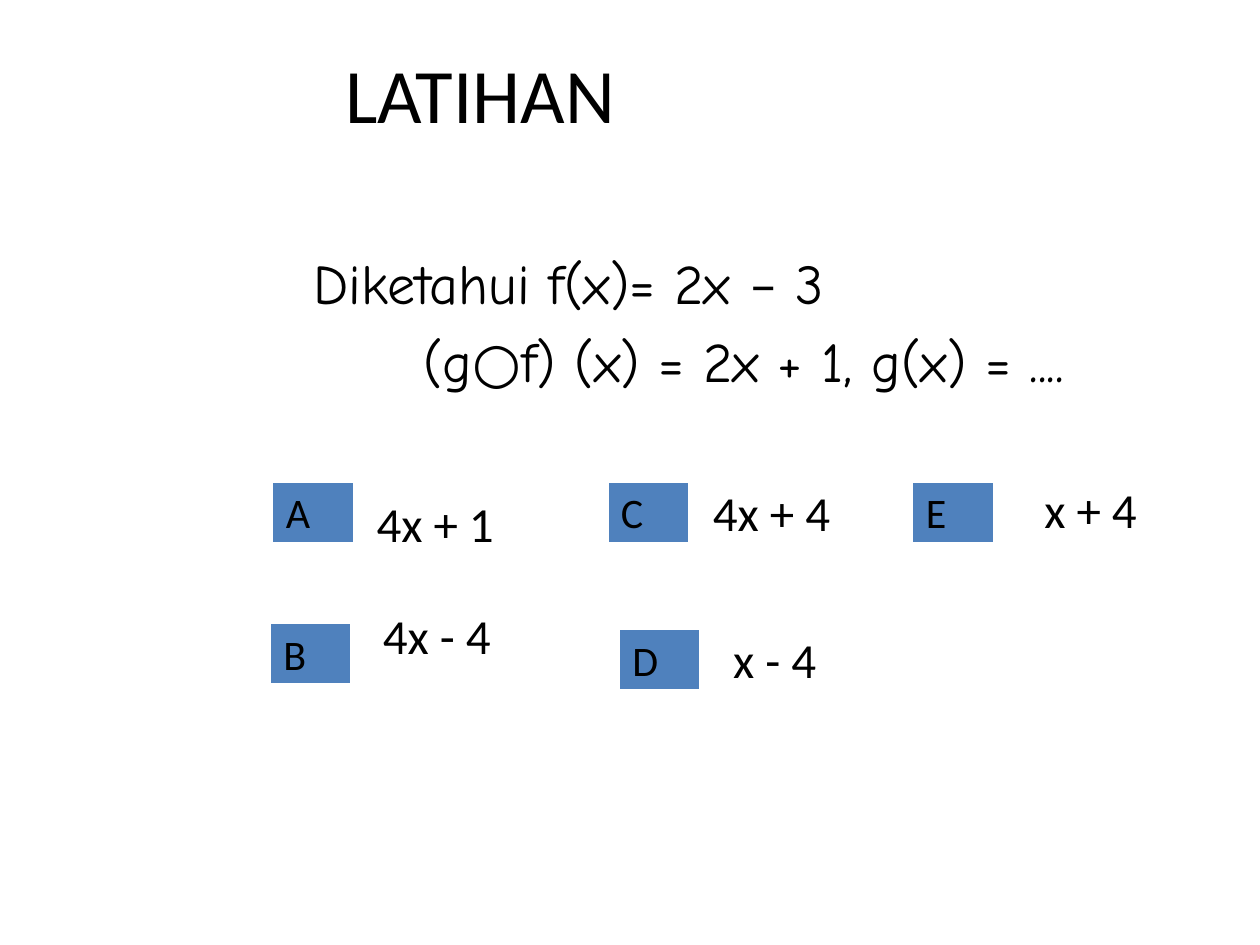
import pptx
import pptx.util
import pptx.dml.color
import pptx.enum.shapes
import pptx.enum.text
from dataclasses import dataclass

# Grid: 100 columns by 75 rows over the slide
WIDTH, HEIGHT = pptx.util.Inches(10), pptx.util.Inches(7.5)
COLUMN, ROW = WIDTH / 100, HEIGHT / 75
COLORS = {"ink": "000000", "button": "4F81BD"}
BODY_FONT, MATH_FONT = "Calibri", "Comic Neue"
BUTTON_SIZE = (6.3, 4.7)
ANSWER_HEIGHT = 5.2
ANCHOR = pptx.enum.text.MSO_ANCHOR


@dataclass
class Option:
    letter: str
    button: tuple[float, float]
    answer: str
    answer_at: tuple[float, float]
    answer_width: float


OPTIONS = [
    Option("A", (21.7, 38.3), "4x + 1", (28.9, 39.2), 12.7),
    Option("B", (21.5, 49.5), "4x - 4", (29.4, 48.1), 11.8),
    Option("C", (48.3, 38.3), "4x + 4", (55.6, 38.3), 12.7),
    Option("D", (49.2, 50), "x - 4", (57.2, 50), 9.6),
    Option("E", (72.5, 38.3), "x + 4", (81.9, 38.1), 10.6),
]


def color(name: str) -> pptx.dml.color.RGBColor:
    return pptx.dml.color.RGBColor.from_string(COLORS[name])


def area(left: float, top: float, width: float, height: float) -> list[int]:
    return [round(left * COLUMN), round(top * ROW),
            round(width * COLUMN), round(height * ROW)]


def write(paragraph, text: str, *, size: float, font: str = BODY_FONT,
          spacing: float | None = None, before: float = 0) -> None:
    paragraph.alignment = pptx.enum.text.PP_ALIGN.LEFT
    paragraph.space_before = pptx.util.Pt(before)
    paragraph.line_spacing = spacing
    run = paragraph.add_run()
    run.text = text
    run.font.size = pptx.util.Pt(size)
    run.font.name = font
    run.font.color.rgb = color("ink")


def add_frame(slide, box: list[int], wrap: bool = True):
    frame = slide.shapes.add_textbox(*box).text_frame
    frame.word_wrap = wrap
    return frame


def add_option(slide, option: Option) -> None:
    button = slide.shapes.add_shape(
        pptx.enum.shapes.MSO_SHAPE.ACTION_BUTTON_CUSTOM,
        *area(*option.button, *BUTTON_SIZE))
    button.shadow.inherit = False
    button.fill.solid()
    button.fill.fore_color.rgb = color("button")
    button.line.fill.background()
    label = button.text_frame
    label.word_wrap = False
    label.vertical_anchor = ANCHOR.MIDDLE
    write(label.paragraphs[0], option.letter, size=24)

    answer = add_frame(
        slide, area(*option.answer_at, option.answer_width, ANSWER_HEIGHT), wrap=False)
    answer.auto_size = pptx.enum.text.MSO_AUTO_SIZE.SHAPE_TO_FIT_TEXT
    write(answer.paragraphs[0], option.answer, size=28, spacing=0.9)


def main() -> None:
    deck = pptx.Presentation()
    deck.slide_width, deck.slide_height = WIDTH, HEIGHT
    slide = deck.slides.add_slide(deck.slide_layouts[6])

    # Title
    title = add_frame(slide, area(26.4, 2.8, 63, 16.1))
    title.margin_top = pptx.util.Inches(0.09)
    write(title.paragraphs[0], "LATIHAN", size=44)

    # Question
    question = add_frame(slide, area(23.9, 19.2, 76.1, 45.7))
    given = question.paragraphs[0]
    for text, font in [("Diketahui f(x)= 2x ", MATH_FONT), ("–", BODY_FONT),
                       (" 3", MATH_FONT)]:
        write(given, text, size=32, font=font)
    composite = question.add_paragraph()
    composite._p.get_or_add_pPr().set("marL", str(round(8.7 * COLUMN)))
    write(composite, "(g○f) (x) = 2x + 1, g(x) = ....",
          size=32, font=MATH_FONT, before=6.4)

    # Answer options
    for option in OPTIONS:
        add_option(slide, option)

    deck.save("out.pptx")


if __name__ == "__main__":
    main()
